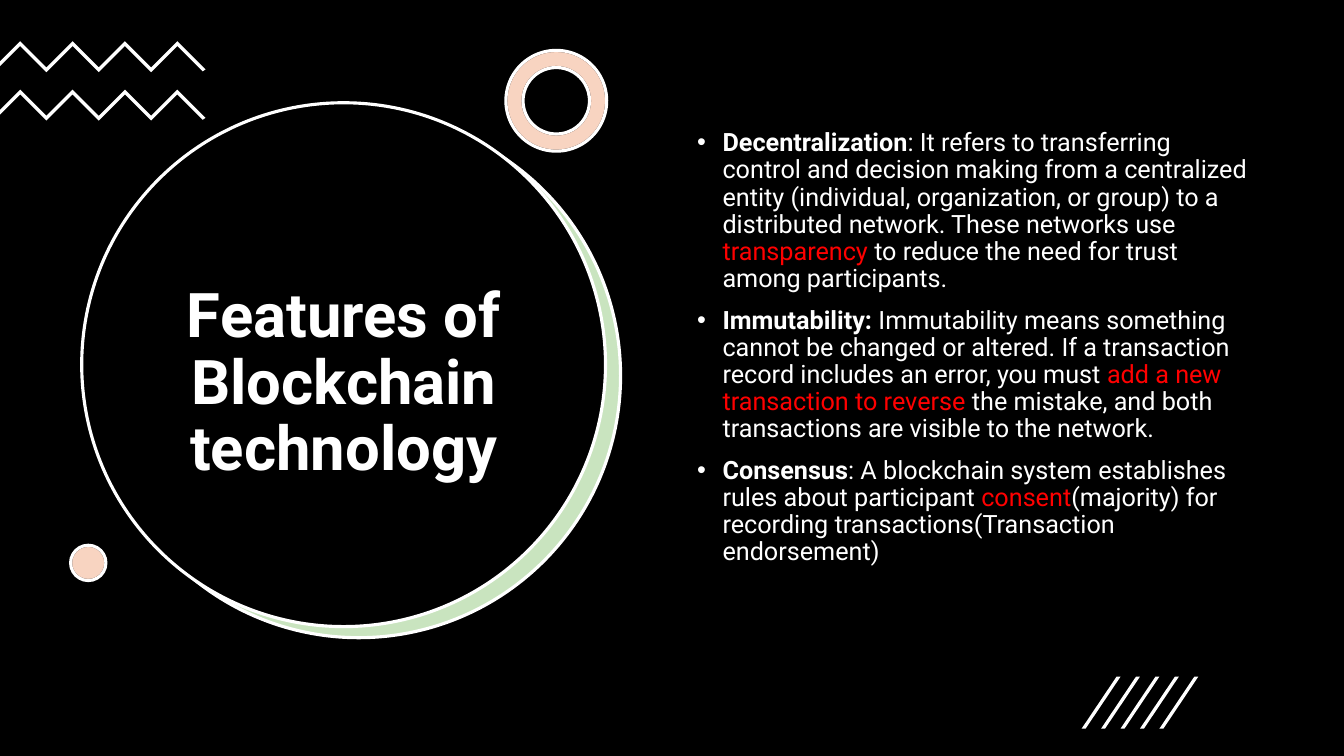
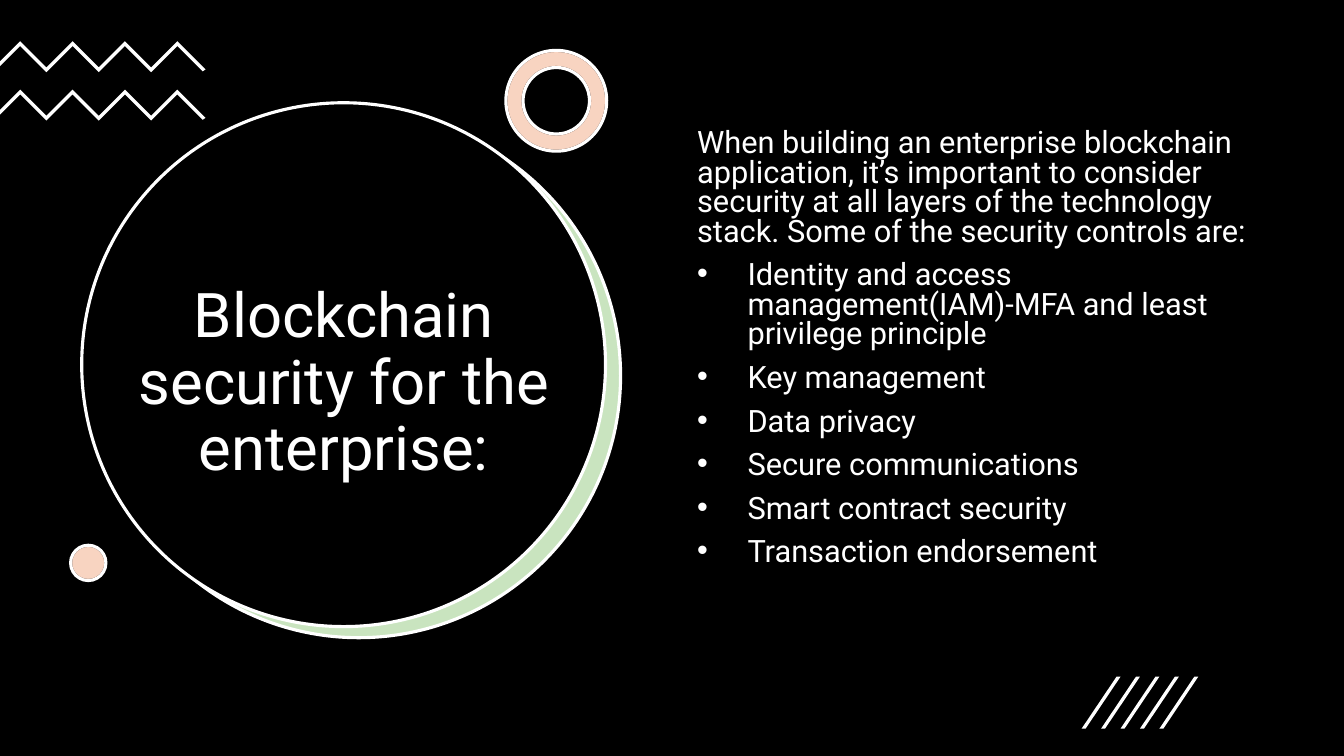
from lxml.etree import SubElement
from pptx import Presentation
from pptx.dml.color import RGBColor
from pptx.enum.shapes import MSO_SHAPE as Preset
from pptx.enum.text import MSO_ANCHOR as Anchor, MSO_AUTO_SIZE as AutoSize, PP_ALIGN as Align
from pptx.oxml.ns import qn
from pptx.util import Cm, Pt

WHITE, BLACK, RED = "FFFFFF", "000000", "FF0000"
GREEN, ORANGE = "4EA72E", "E97132"
TINT = 30
OUTLINE = 2.25
FONT = "Roboto"

TITLE_BOX = (3.07, 5.21, 11.2, 8.94)
BODY_BOX = (17.32, 3.15, 14.5, 12.09)
DISC_BOX = (2.06, 2.59, 13.2, 13.2)
ZIGZAG_BOX = (0, 1.04, 5.18, 1.98)
RING_BOX = (12.75, 1.27, 2.54, 2.54)
DOT_BOX = (1.78, 13.74, 0.89, 0.89)
SLASH_BOX = (27.26, 17.05, 2.94, 1.31)

FRAME = {"word_wrap": True, "auto_size": AutoSize.NONE}
TITLE_FRAME = {**FRAME, "vertical_anchor": Anchor.MIDDLE}
TITLE_PARA = {"alignment": Align.CENTER, "line_spacing": 0.9}
BOLD = {"bold": True}
PLAIN = {"bold": False}
ALERT = {"bold": False, "color": RED}

FEATURES = [
    [
        ("Decentralization", BOLD),
        (": It refers to transferring control and decision making from a centralized entity "
         "(individual, organization, or group) to a distributed network. These networks use ", PLAIN),
        ("transparency ", ALERT),
        ("to reduce the need for trust among participants.", PLAIN),
    ],
    [
        ("Immutability: ", BOLD),
        ("Immutability means something cannot be changed or altered. If a transaction record "
         "includes an error, you must ", PLAIN),
        ("add a new transaction to reverse ", ALERT),
        ("the mistake, and both transactions are visible to the network.", PLAIN),
    ],
    [
        ("Consensus", BOLD),
        (": A blockchain system establishes rules about participant ", PLAIN),
        ("consent", ALERT),
        ("(majority) for recording transactions(Transaction endorsement)", PLAIN),
    ],
]
SECURITY_INTRO = (
    "When building an enterprise blockchain application, it’s important to consider security "
    "at all layers of the technology stack. Some of the security controls are:"
)
SECURITY_CONTROLS = [
    "Identity and access management(IAM)-MFA and least privilege principle",
    "Key management",
    "Data privacy",
    "Secure communications",
    "Smart contract security",
    "Transaction endorsement",
]


def rgb(value):
    return RGBColor.from_string(value)


def apply(target, values):
    for name, value in values.items():
        setattr(target, name, value)


def lengths(box):
    return [Cm(value) for value in box]


def paint(shape, fill, line=None, opacity=100):
    shape.shadow.inherit = False
    shape.fill.solid()
    shape.fill.fore_color.rgb = rgb(fill)
    if opacity < 100:
        tone = shape.fill._xPr.find(qn("a:solidFill")).find(qn("a:srgbClr"))
        SubElement(tone, qn("a:alpha"), val=str(opacity * 1000))
    if line:
        shape.line.color.rgb = rgb(line)
        shape.line.width = Pt(OUTLINE)
    else:
        shape.line.fill.background()


def add_preset(page, preset, box, fill, line=None, opacity=100):
    shape = page.shapes.add_shape(preset, *lengths(box))
    paint(shape, fill, line, opacity)
    return shape


def add_polygon(page, points):
    corners = [(Cm(x), Cm(y)) for x, y in points]
    builder = page.shapes.build_freeform(*corners[0])
    builder.add_line_segments(corners[1:], close=True)
    paint(builder.convert_to_shape(), WHITE)


def add_disc(page, box):
    left, top, width, height = box
    crescent = (left + 0.38, top + 0.28, width, height)
    add_preset(page, Preset.OVAL, crescent, WHITE)
    add_preset(page, Preset.OVAL, crescent, GREEN, WHITE, TINT)
    add_preset(page, Preset.OVAL, box, BLACK, WHITE)


def add_zigzags(page, box):
    left, top, width, height = box
    step, thickness, inset, gap = 0.66, 0.12, 0.51, 1.22
    for y in (top, top + gap):
        ridge = [(left + inset + step * i, y + step * (i % 2)) for i in range(7)]
        end = [(left + width, y + 0.71), (left + width - 0.07, y + 0.76)]
        underside = [(x, edge + thickness) for x, edge in reversed(ridge)]
        start = [(left, y + inset + thickness), (left, y + inset)]
        add_polygon(page, ridge + end + underside + start)


def add_slashes(page, box):
    left, top, width, height = box
    count, step, thickness = 5, 0.49, 0.1
    lean = width - step * (count - 1)
    for i in range(count):
        x = left + step * i
        add_polygon(page, [
            (x + thickness, top + height), (x, top + height),
            (x + lean - thickness, top), (x + lean, top),
        ])


def add_tinted(page, preset, box):
    for fill, line, opacity in ((WHITE, BLACK, 100), (ORANGE, WHITE, TINT)):
        shape = add_preset(page, preset, box, fill, line, opacity)
        if preset == Preset.DONUT:
            shape.adjustments[0] = 0.17


def add_span(para, text, size, bold=False, color=WHITE):
    span = para.add_run()
    span.text = text
    apply(span.font, {"name": FONT, "size": Pt(size), "bold": bold})
    span.font.color.rgb = rgb(color)


def set_bullet(para, indent):
    properties = para._p.get_or_add_pPr()
    properties.set("marL", str(Cm(indent)))
    properties.set("indent", str(-Cm(indent)))
    SubElement(properties, qn("a:buFont"), typeface="Arial")
    SubElement(properties, qn("a:buChar"), char="•")


def place_title(page, box, text, bold):
    title = page.shapes.title
    apply(title, dict(zip(("left", "top", "width", "height"), lengths(box))))
    page.shapes._spTree.append(title._element)
    apply(title.text_frame, TITLE_FRAME)
    para = title.text_frame.paragraphs[0]
    apply(para, TITLE_PARA)
    add_span(para, text, 44, bold)


def add_body(page, box, paragraphs, size, spacing):
    frame = page.shapes.add_textbox(*lengths(box)).text_frame
    apply(frame, FRAME)
    for i, (indent, spans) in enumerate(paragraphs):
        para = frame.add_paragraph() if i else frame.paragraphs[0]
        apply(para, {"line_spacing": spacing, "space_before": Pt(10)})
        if indent:
            set_bullet(para, indent)
        for text, style in spans:
            add_span(para, text, size, **style)


def add_page(deck, title, bold, paragraphs, size, spacing):
    page = deck.slides.add_slide(deck.slide_layouts[5])
    add_disc(page, DISC_BOX)
    place_title(page, TITLE_BOX, title, bold)
    add_zigzags(page, ZIGZAG_BOX)
    add_tinted(page, Preset.DONUT, RING_BOX)
    add_tinted(page, Preset.OVAL, DOT_BOX)
    add_body(page, BODY_BOX, paragraphs, size, spacing)
    add_slashes(page, SLASH_BOX)


def main():
    deck = Presentation()
    apply(deck, {"slide_width": Cm(33.87), "slide_height": Cm(19.05)})
    backdrop = deck.slide_master.background.fill
    backdrop.solid()
    backdrop.fore_color.rgb = rgb(BLACK)

    features = [(0.64, spans) for spans in FEATURES]
    add_page(deck, "Features of Blockchain technology", True, features, 18, 0.9)

    controls = [(1.27, [(text, PLAIN)]) for text in SECURITY_CONTROLS]
    security = [(0, [(SECURITY_INTRO, PLAIN)])] + controls
    add_page(deck, "Blockchain security for the enterprise:", False, security, 22, 0.8)

    deck.save("out.pptx")


if __name__ == "__main__":
    main()
